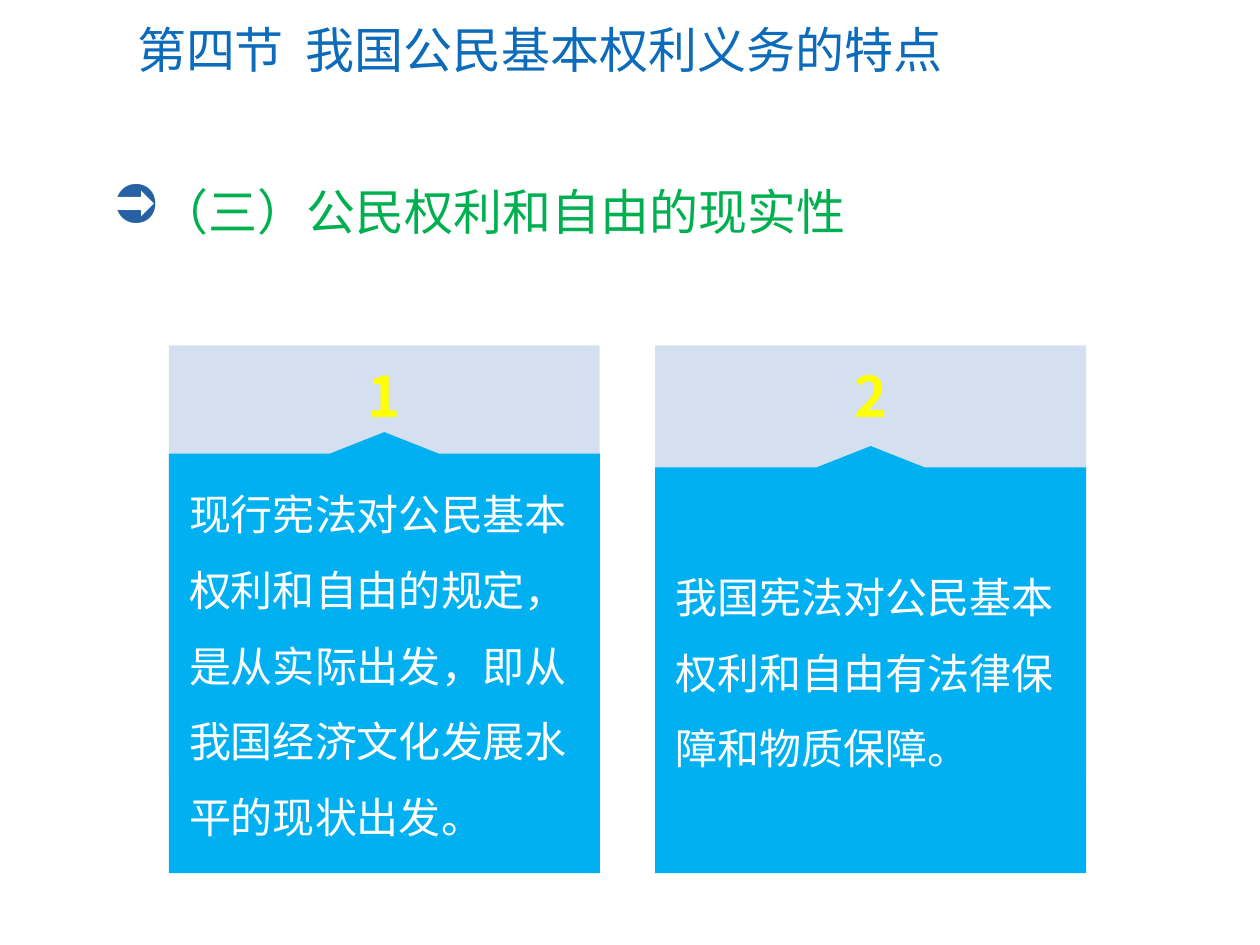
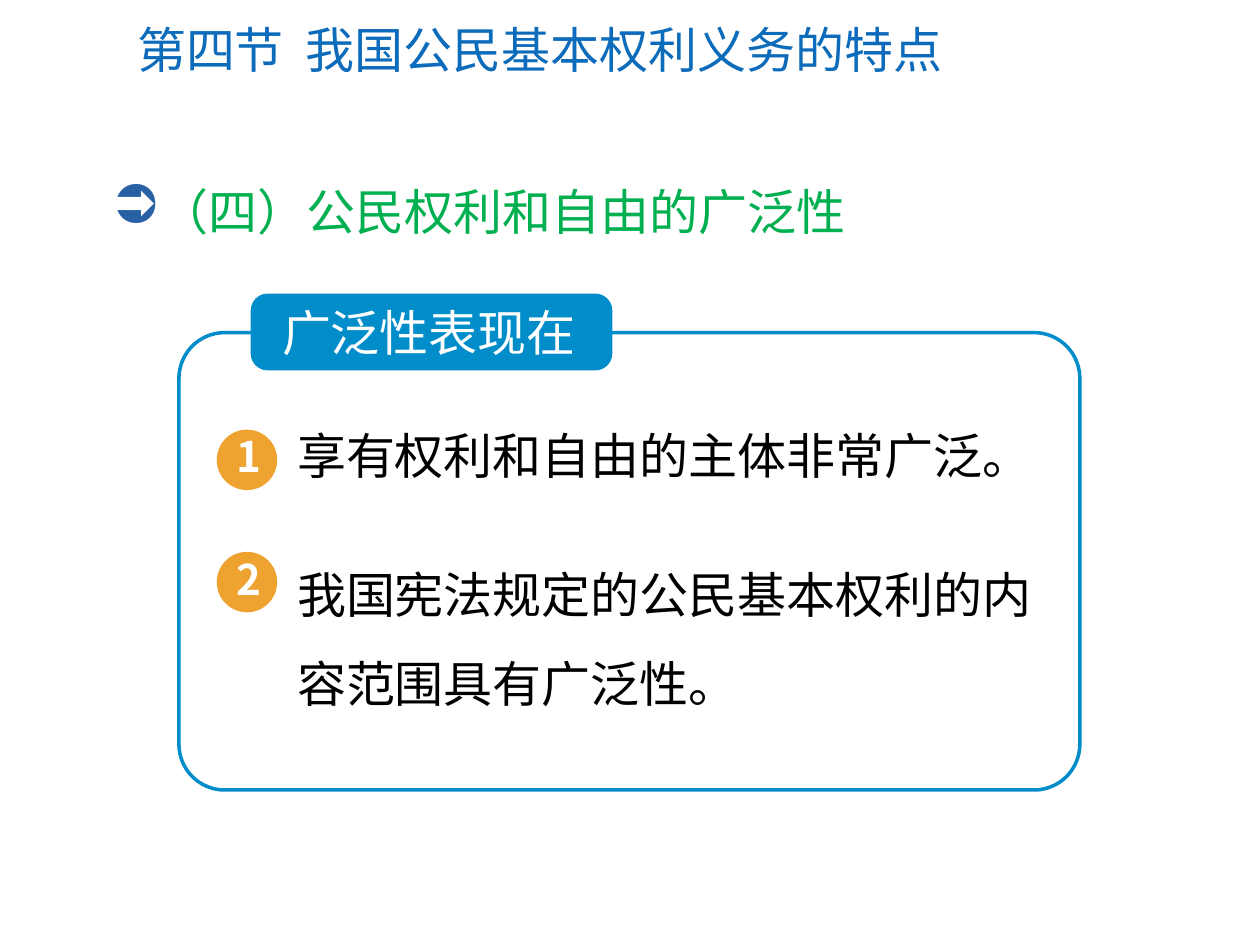
from dataclasses import dataclass

from lxml.etree import SubElement
from pptx import Presentation
from pptx.dml.color import RGBColor
from pptx.enum.shapes import MSO_SHAPE as Preset
from pptx.enum.text import MSO_ANCHOR as Anchor, PP_ALIGN as Align
from pptx.oxml.ns import qn
from pptx.shapes.autoshape import Shape
from pptx.shapes.shapetree import GroupShapes, SlideShapes
from pptx.slide import Slide
from pptx.util import Pt

EMU_PER_PX = 9144  # 100 px to the inch
LATIN_FONT = "Calibri"
CHINESE_FONT = "Noto Sans CJK SC"
COLORS = {
    "title": "0C6BBA",
    "bullet": "2860A4",
    "heading": "00B050",
    "card_back": "95B3D7",
    "card_front": "00B0F0",
    "card_number": "FFFF00",
    "frame": "008DCA",
    "badge": "EEA230",
    "white": "FFFFFF",
    "black": "000000",
}
SECTION = "第四节"
TOPIC = "我国公民基本权利义务的特点"

CARD_TOP, CARD_WIDTH, CARD_BOTTOM = 274, 342, 693
BACK_HEIGHT = 341
NOTCH_HEIGHT, NOTCH_HALF_WIDTH = 17, 43
BADGE_LEFT, BADGE_SIZE = 172, 48
ITEM_LEFT = 226

Shapes = SlideShapes | GroupShapes


@dataclass(frozen=True)
class Box:
    left: int
    top: int
    width: int
    height: int

    def emu(self) -> list[int]:
        return [px(v) for v in (self.left, self.top, self.width, self.height)]


@dataclass(frozen=True)
class Style:
    size: int
    color: str
    font: str = CHINESE_FONT
    bold: bool = False
    align: Align = Align.LEFT
    anchor: Anchor = Anchor.TOP
    line_spacing: float = 1.0
    space_before: float = 0.2  # share of the font size
    inset: tuple[int, int] = (10, 5)  # sides, top and bottom


@dataclass(frozen=True)
class Card:
    number: str
    left: int
    notch_top: int
    text: str


@dataclass(frozen=True)
class Item:
    number: str
    badge_top: int
    text_top: int
    text_width: int
    text_height: int
    line_spacing: float
    text: str


TITLE = Style(28, "title", LATIN_FONT, anchor=Anchor.MIDDLE, space_before=0)
HEADING = Style(28, "heading", LATIN_FONT)
CARD_NUMBER = Style(32, "card_number", bold=True, align=Align.CENTER)
CARD_TEXT = Style(24, "white", anchor=Anchor.MIDDLE, line_spacing=1.5, inset=(16, 5))
LABEL = Style(28, "white", LATIN_FONT, anchor=Anchor.MIDDLE, space_before=0, inset=(21, 3))
BADGE_NUMBER = Style(24, "white", bold=True, align=Align.CENTER)

CARDS = [
    Card("1", 134, 343, "现行宪法对公民基本权利和自由的规定，是从实际出发，即从我国经济文化发展水平的现状出发。"),
    Card("2", 520, 354, "我国宪法对公民基本权利和自由有法律保障和物质保障。"),
]
ITEMS = [
    Item("1", 341, 333, 609, 57, 1.0, "享有权利和自由的主体非常广泛。"),
    Item("2", 438, 420, 618, 140, 1.5, "我国宪法规定的公民基本权利的内容范围具有广泛性。"),
]


def px(length: int) -> int:
    return length * EMU_PER_PX


def rgb(color: str) -> RGBColor:
    return RGBColor.from_string(COLORS[color])


def paint(shape: Shape, color: str, opacity: int = 100) -> None:
    """Fill a shape, without line or shadow; opacity is in percent."""
    shape.shadow.inherit = False
    shape.line.fill.background()
    shape.fill.solid()
    shape.fill.fore_color.rgb = rgb(color)
    if opacity < 100:
        fill_color = shape._element.spPr.find(qn("a:solidFill"))[0]
        SubElement(fill_color, qn("a:alpha"), val=str(opacity * 1000))


def write(shape: Shape, runs: list[str], style: Style) -> None:
    """Put one paragraph, made of the given runs, into a shape."""
    frame = shape.text_frame
    frame.word_wrap = True
    frame.vertical_anchor = style.anchor
    frame.margin_left = frame.margin_right = px(style.inset[0])
    frame.margin_top = frame.margin_bottom = px(style.inset[1])
    paragraph = frame.paragraphs[0]
    for text in runs:
        paragraph.add_run().text = text
    paragraph.alignment = style.align
    paragraph.line_spacing = style.line_spacing
    paragraph.space_before = Pt(style.size * style.space_before)
    paragraph.font.size = Pt(style.size)
    paragraph.font.bold = style.bold
    paragraph.font.color.rgb = rgb(style.color)
    paragraph.font.name = style.font
    defaults = paragraph._p.pPr.find(qn("a:defRPr"))
    SubElement(defaults, qn("a:ea"), typeface=CHINESE_FONT)


def add_text(shapes: Shapes, box: Box, runs: list[str], style: Style) -> Shape:
    text_box = shapes.add_textbox(*box.emu())
    write(text_box, runs, style)
    return text_box


def add_preset(shapes: Shapes, preset: Preset, box: Box, color: str, opacity: int = 100) -> Shape:
    shape = shapes.add_shape(preset, *box.emu())
    paint(shape, color, opacity)
    return shape


def add_title(slide: Slide) -> None:
    title = add_text(slide.shapes, Box(99, 10, 872, 58), [SECTION, " ", TOPIC], TITLE)
    gap = title.text_frame.paragraphs[0].runs[1]
    gap._r.get_or_add_rPr().set("spc", "630")


def add_heading(slide: Slide, text: str) -> None:
    """Add the green heading with its round arrow bullet."""
    heading = slide.shapes.add_textbox(*Box(79, 139, 834, 57).emu())
    properties = heading.text_frame.paragraphs[0]._p.get_or_add_pPr()
    properties.set("marL", str(px(38)))
    properties.set("indent", str(-px(38)))
    bullet_color = SubElement(properties, qn("a:buClr"))
    SubElement(bullet_color, qn("a:srgbClr"), val=COLORS["bullet"])
    SubElement(properties, qn("a:buSzPct"), val="110000")
    SubElement(properties, qn("a:buChar"), char="➲")
    write(heading, [text], HEADING)


def add_card(slide: Slide, card: Card) -> None:
    shapes = slide.shapes.add_group_shape().shapes
    back = Box(card.left, CARD_TOP, CARD_WIDTH, BACK_HEIGHT)
    add_preset(shapes, Preset.RECTANGLE, back, "card_back", 40)

    middle, right = card.left + CARD_WIDTH // 2, card.left + CARD_WIDTH
    top = card.notch_top + NOTCH_HEIGHT
    outline = [
        (middle + NOTCH_HALF_WIDTH, top),
        (right, top),
        (right, CARD_BOTTOM),
        (card.left, CARD_BOTTOM),
        (card.left, top),
        (middle - NOTCH_HALF_WIDTH, top),
    ]
    builder = shapes.build_freeform(middle, card.notch_top, scale=EMU_PER_PX)
    builder.add_line_segments(outline, close=True)
    front = builder.convert_to_shape()
    paint(front, "card_front")
    write(front, [card.text], CARD_TEXT)

    add_text(shapes, Box(card.left, 282, CARD_WIDTH, 64), [card.number], CARD_NUMBER)


def add_frame(slide: Slide, label_text: str) -> None:
    shapes = slide.shapes.add_group_shape().shapes
    frame = add_preset(shapes, Preset.ROUNDED_RECTANGLE, Box(142, 264, 715, 363), "white", 90)
    frame.adjustments[0] = 0.1
    frame.line.color.rgb = rgb("frame")
    frame.line.width = Pt(2)
    label = add_preset(shapes, Preset.ROUNDED_RECTANGLE, Box(199, 233, 287, 61), "frame")
    label.adjustments[0] = 0.22
    write(label, [label_text], LABEL)


def add_item(slide: Slide, item: Item) -> None:
    shapes = slide.shapes
    badge = Box(BADGE_LEFT, item.badge_top, BADGE_SIZE, BADGE_SIZE)
    add_preset(shapes, Preset.OVAL, badge, "badge")
    text_box = Box(ITEM_LEFT, item.text_top, item.text_width, item.text_height)
    add_text(shapes, text_box, [item.text], Style(28, "black", line_spacing=item.line_spacing))
    number_box = Box(BADGE_LEFT + 6, item.badge_top - 4, 37, 50)
    add_text(shapes, number_box, [item.number], BADGE_NUMBER)


def add_section_slide(presentation: Presentation, heading: str) -> Slide:
    slide = presentation.slides.add_slide(presentation.slide_layouts[6])
    add_title(slide)
    add_heading(slide, heading)
    return slide


def main() -> None:
    presentation = Presentation()
    presentation.slide_width = px(1000)
    presentation.slide_height = px(750)

    reality = add_section_slide(presentation, "（三）公民权利和自由的现实性")
    for card in CARDS:
        add_card(reality, card)

    breadth = add_section_slide(presentation, "（四）公民权利和自由的广泛性")
    add_frame(breadth, "广泛性表现在")
    for item in ITEMS:
        add_item(breadth, item)

    presentation.save("out.pptx")


if __name__ == "__main__":
    main()
